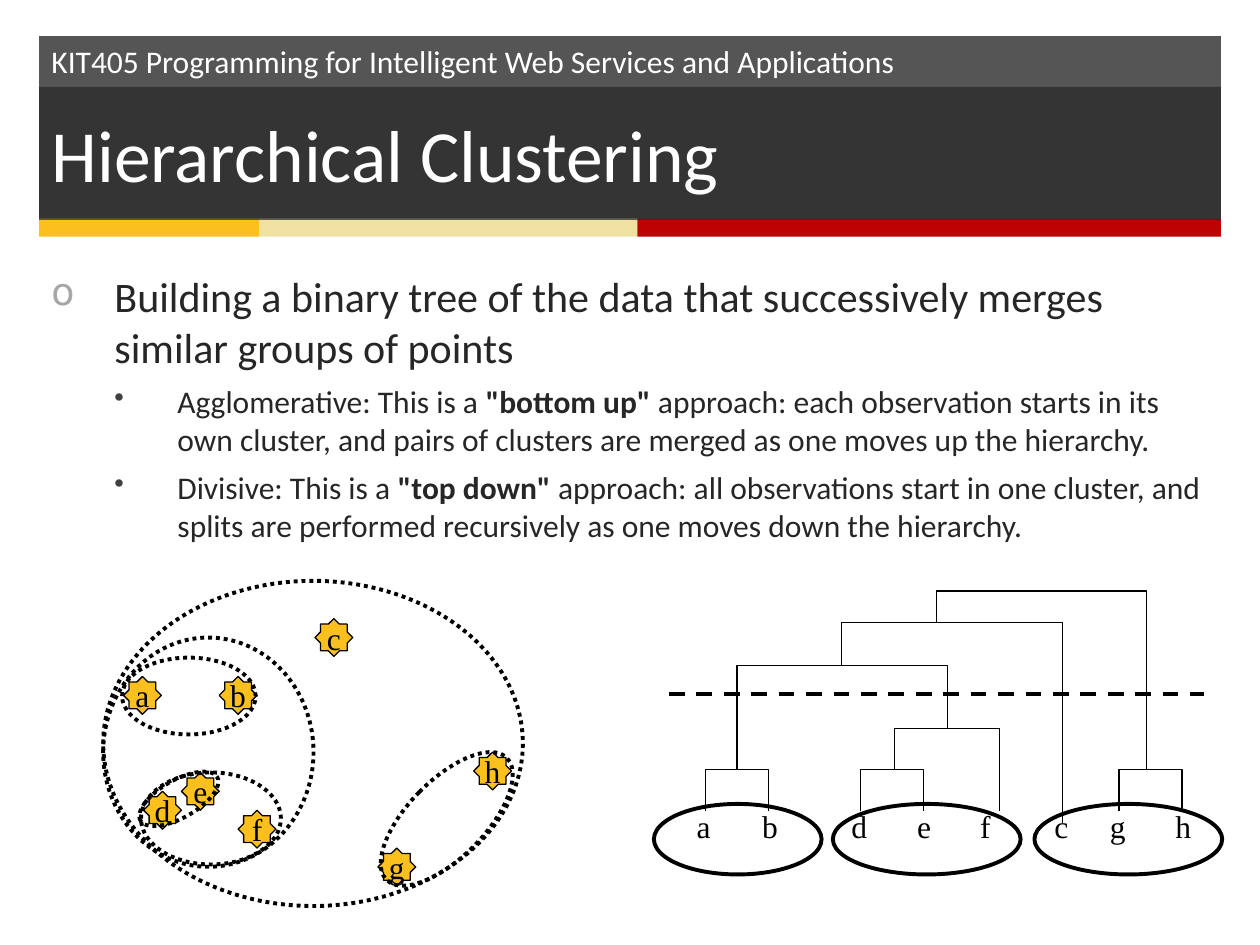
from lxml.etree import SubElement
from pptx import Presentation
from pptx.dml.color import RGBColor
from pptx.enum.dml import MSO_LINE
from pptx.enum.shapes import MSO_CONNECTOR, MSO_SHAPE
from pptx.enum.text import MSO_ANCHOR, PP_ALIGN
from pptx.oxml.ns import qn
from pptx.util import Pt

SANS, SERIF = "Calibri", "Times New Roman"
BLACK, WHITE, YELLOW = "000000", "FFFFFF", "FBC01E"
BODY_COLOR = "262626"


def color(value):
    return RGBColor.from_string(value)


def add_span(para, text, size=18, font=SANS, fill=BLACK, bold=False):
    span = para.add_run()
    span.text = text
    span.font.size = Pt(size)
    span.font.name = font
    span.font.bold = bold
    span.font.color.rgb = color(fill)


def add_bullet(para, mark, fill, margin, hanging=36):
    properties = para._p.get_or_add_pPr()
    properties.set("marL", str(Pt(margin)))
    properties.set("indent", str(-Pt(hanging)))
    bullet_color = SubElement(properties, qn("a:buClr"))
    SubElement(bullet_color, qn("a:srgbClr"), val=fill)
    SubElement(properties, qn("a:buSzPct"), val="90000")
    SubElement(properties, qn("a:buChar"), char=mark)


class SlideBuilder:
    """Holds the current slide and draws each kind of element in its style."""

    def __init__(self, slide):
        self.shapes = slide.shapes

    def outline(self, shape, width, dash=None):
        shape.line.color.rgb = color(BLACK)
        shape.line.width = Pt(width)
        if dash:
            shape.line.dash_style = dash

    def band(self, left, top, width, height, fill, opacity=100):
        box = self.shapes.add_shape(
            MSO_SHAPE.RECTANGLE, Pt(left), Pt(top), Pt(width), Pt(height))
        box.shadow.inherit = False
        box.line.fill.background()
        box.fill.solid()
        box.fill.fore_color.rgb = color(fill)
        if opacity < 100:
            tone = box._element.spPr.find(".//" + qn("a:srgbClr"))
            SubElement(tone, qn("a:alpha"), val=str(opacity * 1000))
        return box

    def text(self, left, top, width, height, text="", wrap=True, **style):
        box = self.shapes.add_textbox(Pt(left), Pt(top), Pt(width), Pt(height))
        frame = box.text_frame
        frame.word_wrap = wrap
        if text:
            add_span(frame.paragraphs[0], text, **style)
        return frame

    def star(self, left, top, letter, size=21.6):
        star = self.shapes.add_shape(
            MSO_SHAPE.STAR_8_POINT, Pt(left), Pt(top), Pt(size), Pt(size))
        star.adjustments[0] = 0.383
        star.shadow.inherit = False
        star.fill.solid()
        star.fill.fore_color.rgb = color(YELLOW)
        self.outline(star, 0.75)
        frame = star.text_frame
        frame.word_wrap = False
        frame.vertical_anchor = MSO_ANCHOR.MIDDLE
        para = frame.paragraphs[0]
        para.alignment = PP_ALIGN.CENTER
        add_span(para, letter, font=SERIF)

    def ellipse(self, left, top, width, height, rotation=0, dash=None):
        ellipse = self.shapes.add_shape(
            MSO_SHAPE.OVAL, Pt(left), Pt(top), Pt(width), Pt(height))
        ellipse.shadow.inherit = False
        ellipse.rotation = rotation
        ellipse.fill.background()
        self.outline(ellipse, 2.25, dash)

    def bracket(self, left, left_end, top, right, right_end):
        """Draw one merge of the tree: two legs joined by a bar at the top."""
        builder = self.shapes.build_freeform(Pt(left), Pt(left_end), scale=1)
        builder.add_line_segments(
            [(Pt(left), Pt(top)), (Pt(right), Pt(top)), (Pt(right), Pt(right_end))],
            close=False)
        bracket = builder.convert_to_shape()
        bracket.shadow.inherit = False
        bracket.fill.background()
        self.outline(bracket, 0.75)

    def cut_line(self, start, end, height):
        line = self.shapes.add_connector(
            MSO_CONNECTOR.STRAIGHT, Pt(start), Pt(height), Pt(end), Pt(height))
        self.outline(line, 2.25, MSO_LINE.DASH)
        SubElement(line._element.spPr, qn("a:effectLst"))


def draw_header(builder):
    left, width = 22.3, 675.4
    builder.band(left, 20.6, width, 104.4, "0D0D0D", opacity=70)
    stripe_left = left
    for stripe_width, fill in [(126, YELLOW), (216, "EFE1A2"), (333.4, "BE0204")]:
        builder.band(stripe_left, 124.8, stripe_width, 10.4, fill)
        stripe_left += stripe_width
    builder.text(left, 20.6, 586, 29,
                 "KIT405 Programming for Intelligent Web Services and Applications",
                 fill=WHITE)
    title = builder.band(left, 49.7, width, 76, "262626", opacity=70)
    title.text_frame.vertical_anchor = MSO_ANCHOR.MIDDLE
    para = title.text_frame.paragraphs[0]
    para.alignment = PP_ALIGN.LEFT
    add_span(para, "Hierarchical Clustering", size=42, fill=WHITE)


def draw_body(builder):
    frame = builder.text(22.3, 151.2, 675.4, 334)
    para = frame.paragraphs[0]
    add_bullet(para, "o", "A6A6A6", 36)
    add_span(para, "Building a binary tree of the data that successively merges "
             "similar groups of points", size=24, fill=BODY_COLOR)
    approaches = [
        ("Agglomerative: This is a ", '"bottom up" ',
         "approach: each observation starts in its own cluster, and pairs of "
         "clusters are merged as one moves up the hierarchy."),
        ("Divisive: This is a ", '"top down"',
         " approach: all observations start in one cluster, and splits are "
         "performed recursively as one moves down the hierarchy."),
    ]
    for opening, name, explanation in approaches:
        para = frame.add_paragraph()
        para.level = 1
        add_bullet(para, "•", "404040", 72)
        para.space_before = Pt(6)
        add_span(para, opening, fill=BODY_COLOR)
        add_span(para, name, fill=BODY_COLOR, bold=True)
        add_span(para, explanation, fill=BODY_COLOR)


def draw_clusters(builder):
    points = {"b": (125.3, 386.6), "e": (103.7, 441.4), "d": (82.1, 452.2),
              "f": (136.1, 463), "a": (70.6, 386.6), "c": (180, 353.5),
              "h": (270.7, 429.8), "g": (216, 484.6)}
    for letter, (left, top) in points.items():
        builder.star(left, top, letter)
    groups = [(77, 445.7, 50.4, 21.6, 330.6), (80.6, 441.4, 79.9, 52.6),
              (69.8, 375.8, 76.3, 43.9), (59, 364.3, 120.2, 131),
              (233.3, 419, 43.9, 97.9, 44.5), (59, 331.9, 239.8, 185.8)]
    for group in groups:
        builder.ellipse(*group, dash=MSO_LINE.ROUND_DOT)


def draw_tree(builder):
    leaf, pair, triple, five, six, root = 463.7, 439.9, 416.2, 380.2, 355.7, 337.7
    merges = [(421.2, pair, five, 541.4, triple), (403.2, leaf, pair, 439.2, leaf),
              (491.8, leaf, pair, 527.8, leaf), (511.2, pair, triple, 571, leaf),
              (639.4, leaf, pair, 675.4, leaf), (481, five, six, 607, 470.2),
              (655.2, pair, root, 535, six)]
    for merge in merges:
        builder.bracket(*merge)
    labels = [("a", 391, 25.2), ("b", 428.4, 26.6), ("d", 479.5, 26.6),
              ("e", 517, 25.2), ("f", 553, 22.3), ("c", 595.4, 25.2),
              ("g", 627.1, 26.6), ("h", 664.6, 26.6)]
    for letter, left, width in labels:
        builder.text(left, 457.9, width, 36, letter, wrap=False, font=SERIF)
    builder.cut_line(382.3, 688.3, 396.7)
    for left, width in [(373.7, 95.8), (475.9, 107.3), (591.1, 107.3)]:
        builder.ellipse(left, 459.4, width, 40.3)


def main():
    deck = Presentation()
    deck.slide_width, deck.slide_height = Pt(720), Pt(540)
    page = deck.slides.add_slide(deck.slide_layouts[6])
    builder = SlideBuilder(page)
    draw_header(builder)
    draw_body(builder)
    draw_clusters(builder)
    draw_tree(builder)
    deck.save("out.pptx")


if __name__ == "__main__":
    main()
